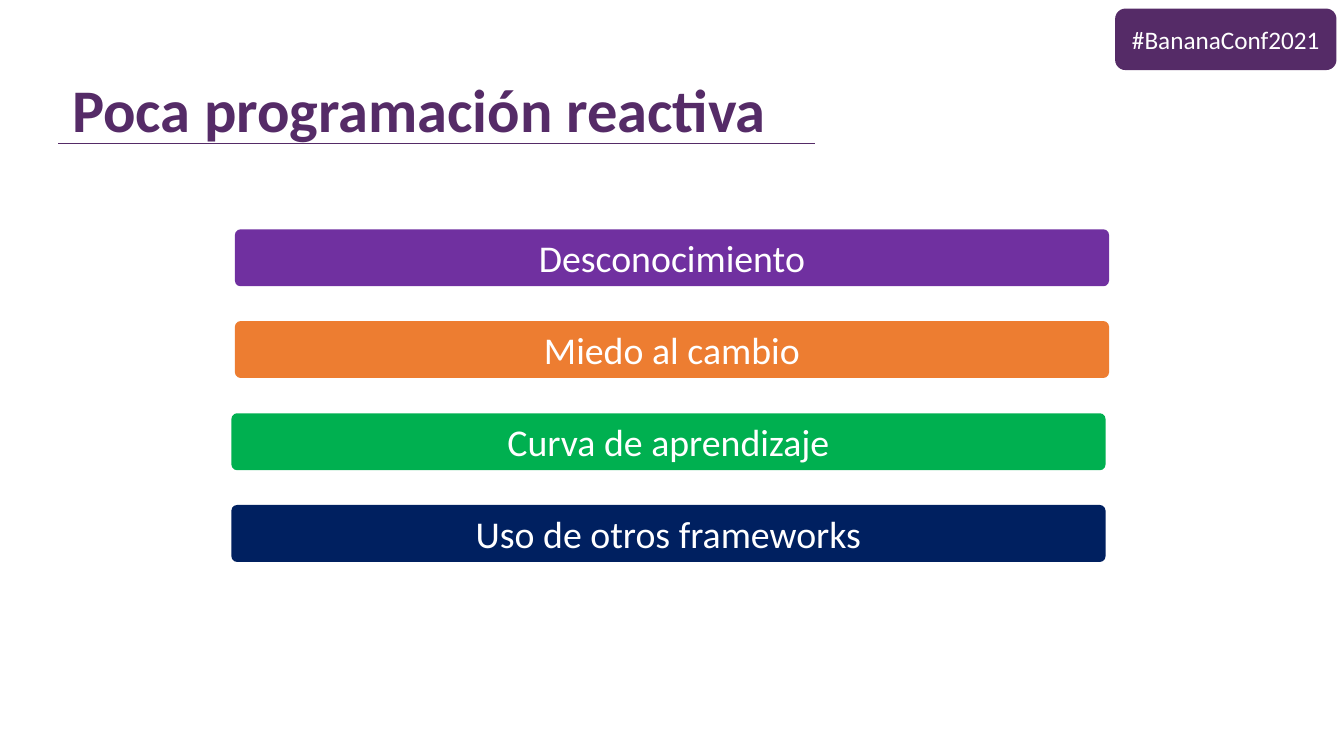
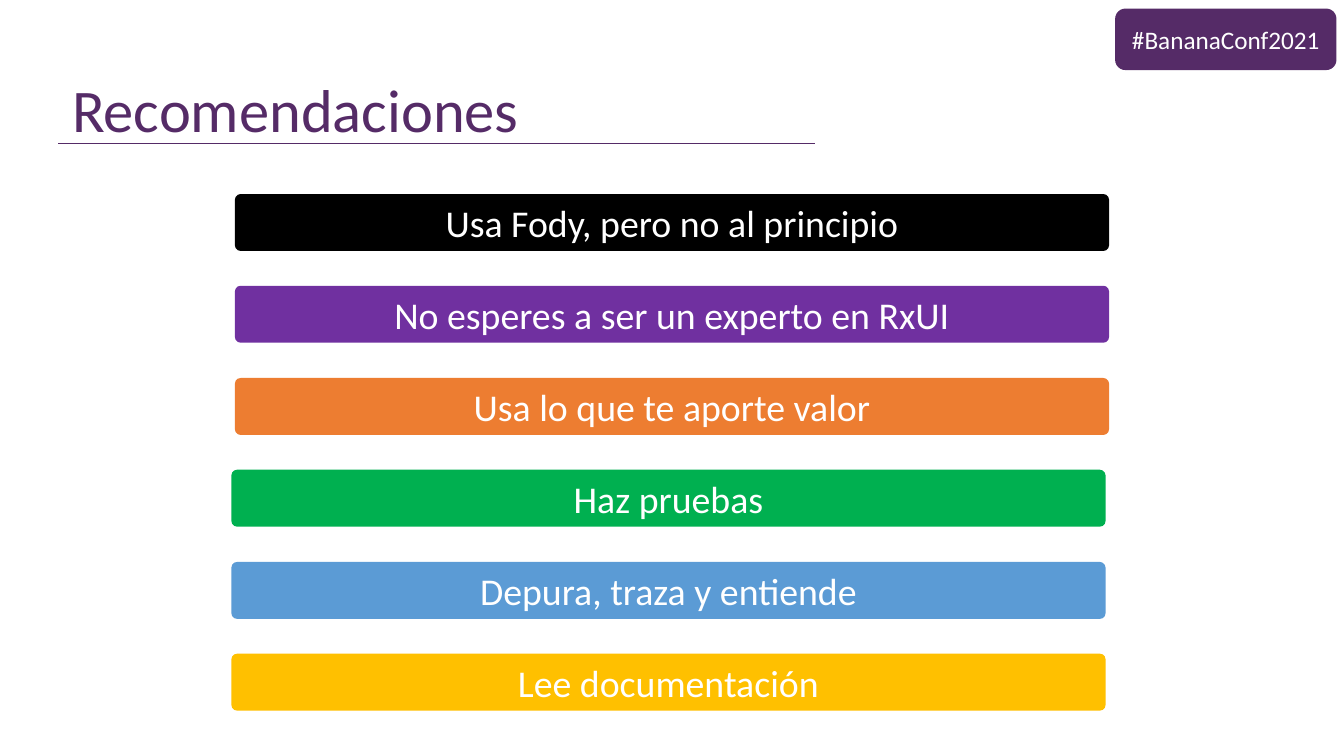
from pptx import Presentation
from pptx.dml.color import RGBColor as RGB
from pptx.enum.shapes import MSO_CONNECTOR as LINE, MSO_SHAPE as SHAPE
from pptx.enum.text import MSO_ANCHOR as ANCHOR, MSO_AUTO_SIZE as FIT, PP_ALIGN as ALIGN
from pptx.oxml.ns import qn
from pptx.util import Pt
from lxml import etree

PX = 9144  # 100 px to the inch
FONT = "Calibri"
COLORS = {
    "plum": "552B67", "purple": "7030A0", "orange": "ED7D31", "green": "00B050",
    "navy": "002060", "blue": "5B9BD5", "gold": "FFC000", "black": "000000",
    "white": "FFFFFF",
}

# Title, bold, top of first bar, bars on the right-hand margin, bars
SLIDES = [
    ("Poca programación reactiva", True, 455, 2, [
        ("Desconocimiento", "purple"),
        ("Miedo al cambio", "orange"),
        ("Curva de aprendizaje", "green"),
        ("Uso de otros frameworks", "navy"),
    ]),
    ("Recomendaciones", False, 385, 3, [
        ("Usa Fody, pero no al principio", "black"),
        ("No esperes a ser un experto en RxUI", "purple"),
        ("Usa lo que te aporte valor", "orange"),
        ("Haz pruebas", "green"),
        ("Depura, traza y entiende", "blue"),
        ("Lee documentación", "gold"),
    ]),
]


def style(para, size, color, align, bold=False):
    para.alignment = align
    font = para.font
    font.name, font.size, font.bold = FONT, Pt(size), bold
    font.color.rgb = RGB.from_string(COLORS[color])


def add_box(slide, text, color, size, *place):
    box = slide.shapes.add_shape(SHAPE.ROUNDED_RECTANGLE, *[n * PX for n in place])
    box.shadow.inherit = False
    box.fill.solid()
    box.fill.fore_color.rgb = RGB.from_string(COLORS[color])
    box.line.fill.background()
    frame = box.text_frame
    frame.text = text
    frame.word_wrap = True
    frame.vertical_anchor = ANCHOR.MIDDLE
    style(frame.paragraphs[0], size, "white", ALIGN.CENTER)
    return box


deck = Presentation()
deck.slide_width, deck.slide_height = 2666 * PX, 1500 * PX

for name, bold, top, count, bars in SLIDES:
    slide = deck.slides.add_slide(deck.slide_layouts[5])

    # Title
    title = slide.shapes.title
    title.left, title.top, title.width, title.height = [n * PX for n in (133, 141, 1889, 153)]
    frame = title.text_frame
    frame.text = name
    frame.auto_size = FIT.NONE
    frame.vertical_anchor = ANCHOR.BOTTOM
    para = frame.paragraphs[0]
    para.line_spacing = 0.9
    style(para, 86.4, "plum", ALIGN.LEFT, bold)

    # Rule under the title
    rule = slide.shapes.add_connector(LINE.STRAIGHT, *[n * PX for n in (116, 284, 1616, 284)])
    rule.line.color.rgb = RGB.from_string(COLORS["plum"])
    rule.line.width = Pt(0.5)
    etree.SubElement(rule.element.spPr, qn("a:effectLst"))

    # Bars, 182.5 px apart
    for i, (text, color) in enumerate(bars):
        left = 466 if i < count else 459
        bar = add_box(slide, text, color, 54, left, top + i * 365 // 2, 1734, 113)
        bar.adjustments[0] = 0.1

    # Event badge
    add_box(slide, "#BananaConf2021", "plum", 36, 2212, 17, 439, 122)

deck.save("out.pptx")
